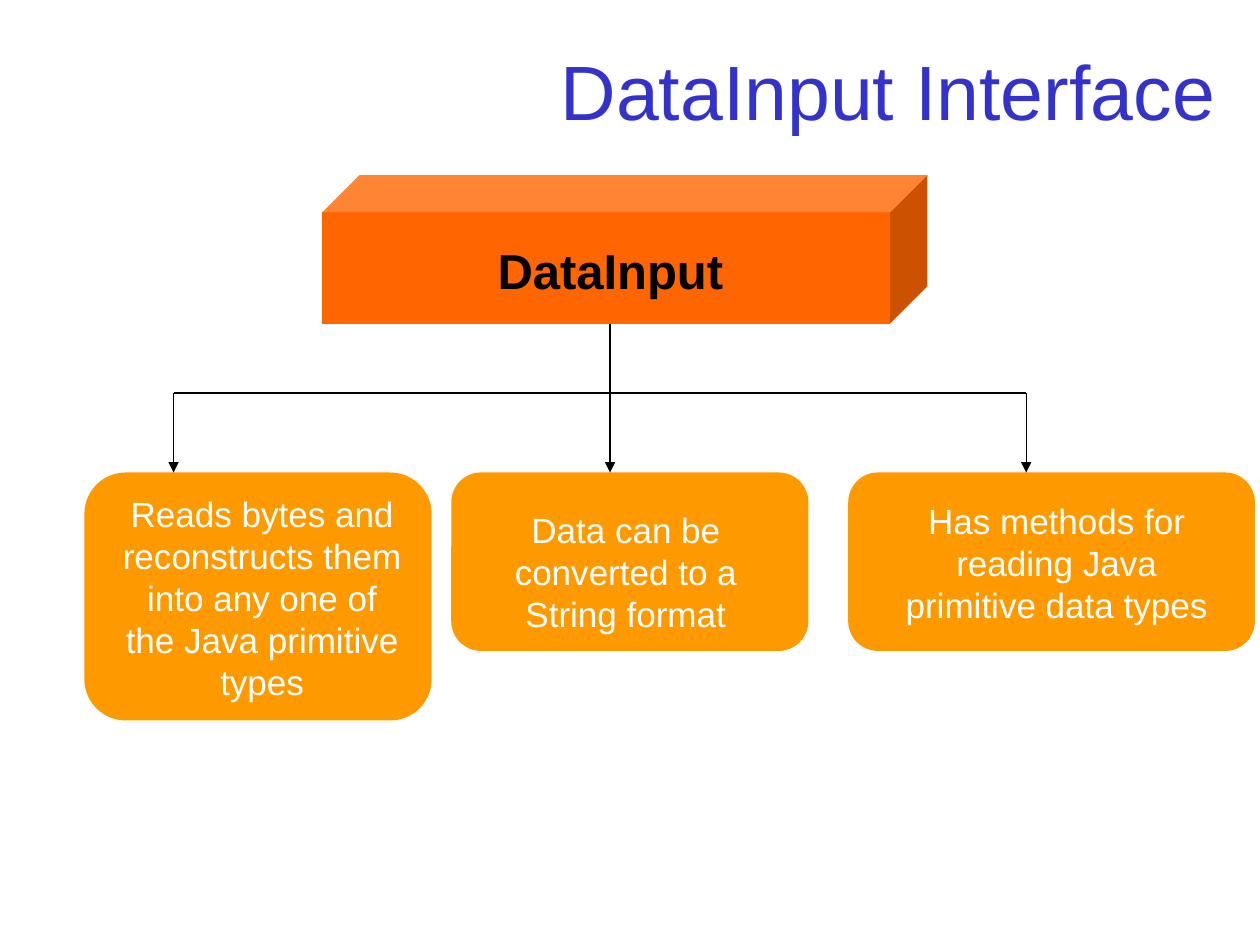
from lxml import etree
from pptx import Presentation
from pptx.dml.color import RGBColor
from pptx.enum.shapes import MSO_CONNECTOR, MSO_SHAPE
from pptx.enum.text import MSO_ANCHOR, PP_ALIGN
from pptx.oxml.ns import qn
from pptx.util import Pt

CUBE, ROUNDED = MSO_SHAPE.CUBE, MSO_SHAPE.ROUNDED_RECTANGLE
RECTANGLE = MSO_SHAPE.RECTANGLE
STRAIGHT = MSO_CONNECTOR.STRAIGHT
TOP, MIDDLE = MSO_ANCHOR.TOP, MSO_ANCHOR.MIDDLE
CENTER, RIGHT = PP_ALIGN.CENTER, PP_ALIGN.RIGHT

FONT = "Arial"
COLORS = {"title": "3333CC", "root": "FF6600", "feature": "FF9900",
          "ink": "000000", "light": "FFFFFF"}

# Content: positions are left, top, width, height in points
TITLE = "DataInput Interface"
ROOT = "DataInput"
FEATURES = [
    # text, box left, width, height, text area, arrow x
    ("Reads bytes and reconstructs them into any one of the Java primitive types",
     48.2, 198.5, 141.7, (62.6, 278, 174.5, 127.4), 99.2),
    ("Data can be converted to a String format",
     257.9, 204.1, 102, (268, 287.2, 179.3, 79.4), 348.6),
    ("Has methods for reading Java primitive data types",
     484.7, 232.4, 102, (501.6, 281.8, 204.5, 79.4), 586.4),
]
CUBE_AREA = (184.3, 100, 345.6, 84.9)
BAR_Y = 224.6
FEATURE_TOP = 270


def color(name):
    return RGBColor.from_string(COLORS[name])


def add_block(slide, kind, area, fill, corner=None):
    block = slide.shapes.add_shape(kind, *map(Pt, area))
    block.shadow.inherit = False
    block.fill.solid()
    block.fill.fore_color.rgb = color(fill)
    block.line.fill.background()
    if corner is not None:
        block.adjustments[0] = corner
    return block


def write(box, text, size, ink, align=CENTER, anchor=TOP, bold=False):
    frame = box.text_frame
    frame.word_wrap = True
    frame.vertical_anchor = anchor
    para = frame.paragraphs[0]
    para.alignment = align
    span = para.add_run()
    span.text = text
    span.font.name = FONT
    span.font.size = Pt(size)
    span.font.bold = bold
    span.font.color.rgb = color(ink)


def add_line(slide, start, end, arrow=False):
    line = slide.shapes.add_connector(STRAIGHT, *map(Pt, start + end))
    line.line.width = Pt(0.75)
    line.line.color.rgb = color("ink")
    if arrow:
        etree.SubElement(line.line._get_or_add_ln(), qn("a:tailEnd"), type="triangle")
    etree.SubElement(line._element.spPr, qn("a:effectLst"))


def main():
    deck = Presentation()
    deck.slide_width, deck.slide_height = Pt(720), Pt(540)
    slide = deck.slides.add_slide(deck.slide_layouts[6])

    # Title
    title = slide.shapes.add_textbox(Pt(54), Pt(20.2), Pt(648), Pt(62.6))
    write(title, TITLE, 44, "title", RIGHT, MIDDLE)

    # Root cube with its label
    add_block(slide, CUBE, CUBE_AREA, "root", 0.25)
    label = add_block(slide, RECTANGLE, (275, 133.9, 147.6, 41), "root")
    write(label, ROOT, 28, "ink", bold=True)

    # Stem and crossbar
    arrow_xs = [feature[-1] for feature in FEATURES]
    cube_bottom = CUBE_AREA[1] + CUBE_AREA[3]
    add_line(slide, (arrow_xs[1], cube_bottom), (arrow_xs[1], BAR_Y))
    add_line(slide, (arrow_xs[0], BAR_Y), (arrow_xs[-1], BAR_Y))

    # Features, each under its arrow
    for text, left, width, height, text_area, arrow_x in FEATURES:
        add_block(slide, ROUNDED, (left, FEATURE_TOP, width, height), "feature", 0.167)
        box = slide.shapes.add_textbox(*map(Pt, text_area))
        write(box, text, 20, "light")
        add_line(slide, (arrow_x, BAR_Y), (arrow_x, FEATURE_TOP), arrow=True)

    deck.save("out.pptx")


if __name__ == "__main__":
    main()
